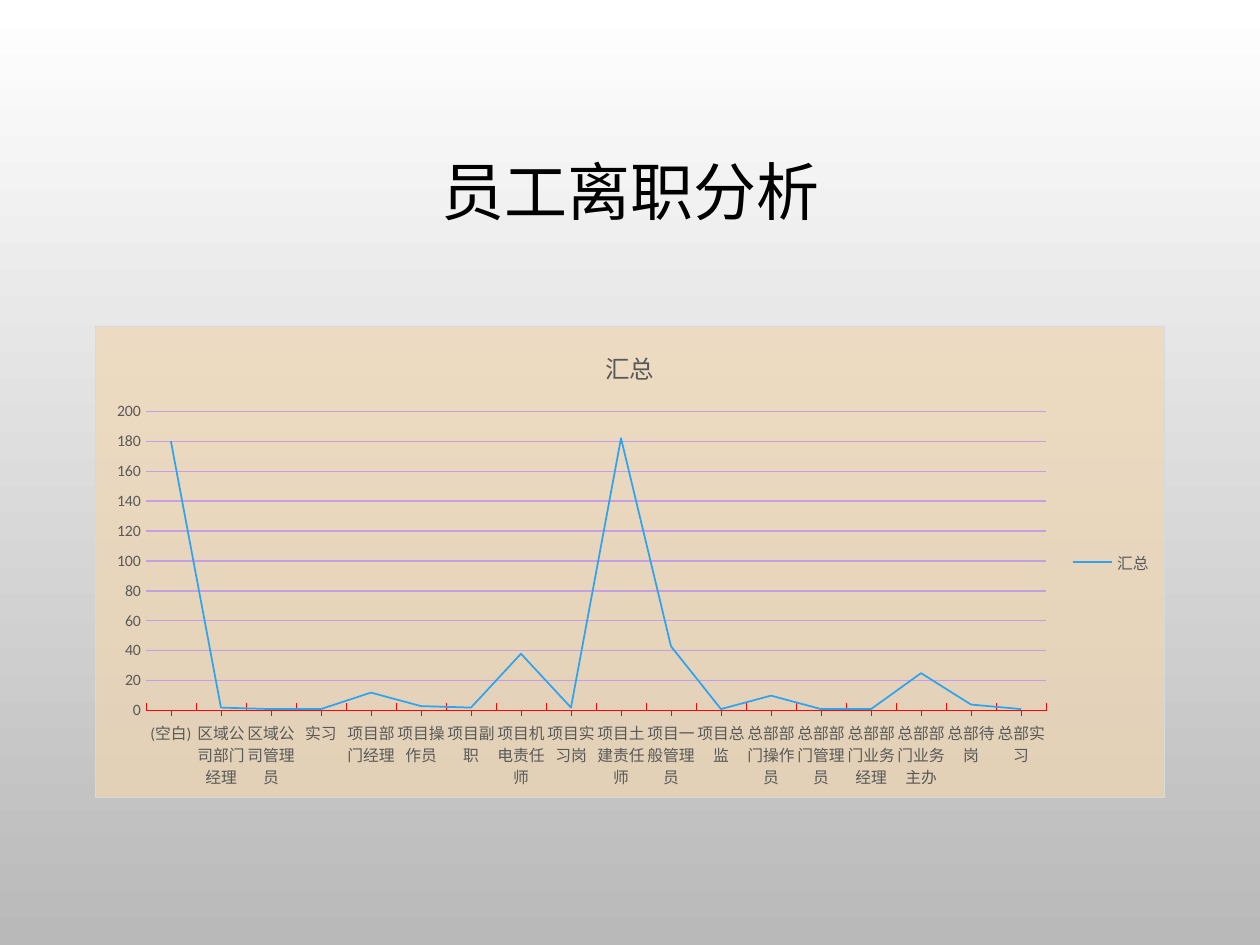
from lxml.etree import fromstring
from pptx import Presentation
from pptx.chart.data import CategoryChartData
from pptx.dml.color import RGBColor
from pptx.enum.chart import XL_CHART_TYPE as CT, XL_LEGEND_POSITION as LP
from pptx.enum.chart import XL_MARKER_STYLE as MS, XL_TICK_MARK as TM
from pptx.enum.text import MSO_ANCHOR, PP_ALIGN
from pptx.oxml.ns import nsdecls, qn
from pptx.util import Emu, Pt

PX = 914400 / 126
FONT = "Calibri"
GREY = "595959"
DEPARTURES = {
    "(空白)": 180, "区域公司部门经理": 2, "区域公司管理员": 1, "实习": 1,
    "项目部门经理": 12, "项目操作员": 3, "项目副职": 2, "项目机电责任师": 38,
    "项目实习岗": 2, "项目土建责任师": 182, "项目一般管理员": 43, "项目总监": 1,
    "总部部门操作员": 10, "总部部门管理员": 1, "总部部门业务经理": 1,
    "总部部门业务主办": 25, "总部待岗": 4, "总部实习": 1,
}


def px(n):
    return Emu(round(n * PX))


def rgb(value):
    return RGBColor.from_string(value)


def style_font(font, size, color):
    font.name = FONT
    font.size = Pt(size)
    font.bold = False
    font.color.rgb = rgb(color)


def style_line(line, color, width):
    line.color.rgb = rgb(color)
    line.width = Pt(width)


def set_background(s):
    fill = s.background.fill
    fill.gradient()
    fill.gradient_angle = 270
    for stop, color, position in zip(fill.gradient_stops, ("FFFFFF", "B9B9B9"), (0, 1)):
        stop.color.rgb = rgb(color)
        stop.position = position


def add_title(s, box, text):
    sp = s.shapes.title
    sp.left, sp.top, sp.width, sp.height = map(px, box)
    tf = sp.text_frame
    tf.word_wrap = True
    tf.vertical_anchor = MSO_ANCHOR.MIDDLE
    p = tf.paragraphs[0]
    p.alignment = PP_ALIGN.CENTER
    p.line_spacing = 0.9
    r = p.add_run()
    r.text = text
    style_font(r.font, 36, "000000")


def style_chart_area(chart):
    area = fromstring(
        f'<c:spPr {nsdecls("c", "a")}>'
        '<a:solidFill><a:srgbClr val="F0D7B2"><a:alpha val="69000"/></a:srgbClr></a:solidFill>'
        '<a:ln w="9525"><a:solidFill><a:srgbClr val="D9D9D9"/></a:solidFill></a:ln>'
        '</c:spPr>')
    chart.element.find(qn("c:chart")).addnext(area)


def style_axes(chart):
    cat, val = chart.category_axis, chart.value_axis
    for axis in (cat, val):
        style_font(axis.tick_labels.font, 9, GREY)
    cat.major_tick_mark = TM.INSIDE
    cat.minor_tick_mark = TM.OUTSIDE
    label_body = cat.format.line and chart.element.find(
        f'.//{qn("c:catAx")}/{qn("c:txPr")}/{qn("a:bodyPr")}')
    label_body.set("rot", "0")
    label_body.set("vert", "horz")
    style_line(cat.format.line, "FF0000", 0.25)
    val.major_tick_mark = val.minor_tick_mark = TM.NONE
    val.minimum_scale, val.maximum_scale, val.major_unit = 0, 200, 20
    val.format.line.fill.background()
    style_line(val.major_gridlines.format.line, "C89EE3", 0.75)


def add_line_chart(s, box, name, values):
    data = CategoryChartData()
    data.categories = list(values)
    data.add_series(name, list(values.values()))
    chart = s.shapes.add_chart(CT.LINE, *map(px, box), data).chart
    style_font(chart.font, 10, "000000")
    style_chart_area(chart)
    style_axes(chart)

    chart.has_title = True
    r = chart.chart_title.text_frame.paragraphs[0].add_run()
    r.text = name
    style_font(r.font, 14, GREY)
    chart.chart_title.include_in_layout = False

    chart.has_legend = True
    chart.legend.position = LP.RIGHT
    chart.legend.include_in_layout = False
    style_font(chart.legend.font, 9, GREY)

    plot = chart.plots[0]
    plot.vary_by_categories = False
    series = plot.series[0]
    series.smooth = False
    series.marker.style = MS.NONE
    style_line(series.format.line, "2FA3EE", 1)


def main():
    prs = Presentation()
    prs.slide_width, prs.slide_height = px(1260), px(945)
    s = prs.slides.add_slide(prs.slide_layouts[5])
    set_background(s)
    add_title(s, (95, 85, 1071, 220), "员工离职分析")
    add_line_chart(s, (95, 326, 1070, 472), "汇总", DEPARTURES)
    prs.save("out.pptx")


if __name__ == "__main__":
    main()
